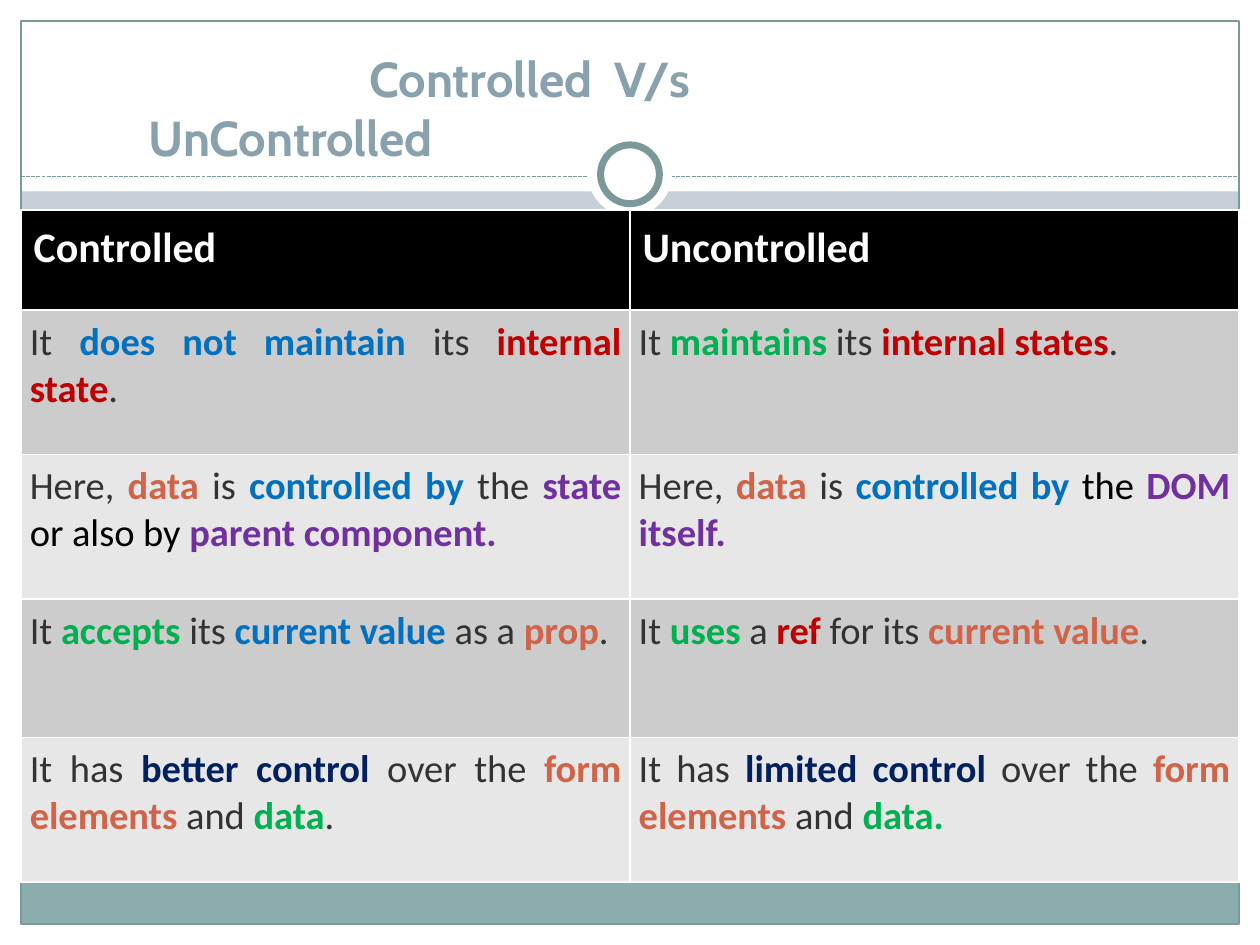
from dataclasses import dataclass

from lxml.etree import SubElement
from pptx import Presentation
from pptx.dml.color import RGBColor
from pptx.enum.dml import MSO_LINE_DASH_STYLE as DASH
from pptx.enum.shapes import MSO_CONNECTOR as CONNECTOR, MSO_SHAPE as SHAPE
from pptx.enum.text import PP_ALIGN as ALIGN
from pptx.oxml.ns import qn
from pptx.util import Inches, Pt


@dataclass(frozen=True)
class Theme:
    paper: str = "FFFFFF"
    backdrop: str = "C5D1D7"
    footer: str = "8CADAE"
    frame: str = "7C999A"
    title: str = "88A1AD"
    header: str = "000000"
    bands: tuple = ("CCCCCC", "E7E7E7")
    body: str = "333333"
    black: str = "000000"
    blue: str = "0070C0"
    navy: str = "002060"
    red: str = "C00000"
    green: str = "00B050"
    orange: str = "D16349"
    purple: str = "7030A0"
    title_font: str = "Cabin"
    table_font: str = "Calibri"
    title_size: int = 28
    header_size: int = 24
    body_size: int = 22


class Deck:
    COLS, ROWS = 60, 45
    PLAIN = ("body", "black")

    def __init__(self, theme):
        self.theme = theme
        self.prs = Presentation()
        self.prs.slide_width, self.prs.slide_height = Inches(10), Inches(7.5)
        self.s = self.prs.slides.add_slide(self.prs.slide_layouts[6])
        self.paint(self.s.background, theme.backdrop)

    def x(self, cols):
        return round(self.prs.slide_width * cols / self.COLS)

    def y(self, rows):
        return round(self.prs.slide_height * rows / self.ROWS)

    def box(self, col, row, cols, rows):
        return self.x(col), self.y(row), self.x(cols), self.y(rows)

    def paint(self, target, color):
        target.fill.solid()
        target.fill.fore_color.rgb = RGBColor.from_string(color)

    def stroke(self, line, color, width):
        line.color.rgb = RGBColor.from_string(color)
        line.width = Pt(width)

    def style(self, r, font, size, color, bold=True):
        r.font.name, r.font.size, r.font.bold = font, Pt(size), bold
        r.font.color.rgb = RGBColor.from_string(color)

    def shape(self, kind, area, fill=None, line=None, width=0.75):
        sp = self.s.shapes.add_shape(kind, *self.box(*area))
        sp.shadow.inherit = False
        if fill:
            self.paint(sp, fill)
        else:
            sp.fill.background()
        if line:
            self.stroke(sp.line, line, width)
        else:
            sp.line.fill.background()

    def dashed_rule(self, col, end, row):
        rule = self.s.shapes.add_connector(
            CONNECTOR.STRAIGHT, self.x(col), self.y(row), self.x(end), self.y(row))
        self.stroke(rule.line, self.theme.frame, 0.75)
        rule.line.dash_style = DASH.SQUARE_DOT
        sp_pr = rule.line._get_or_add_ln().getparent()
        SubElement(sp_pr, qn("a:effectLst"))

    def title(self, text, area, indent):
        tf = self.s.shapes.add_textbox(*self.box(*area)).text_frame
        tf.word_wrap = True
        tf.text = text
        p = tf.paragraphs[0]
        p._p.get_or_add_pPr().set("indent", str(self.x(indent)))
        t = self.theme
        self.style(p.runs[0], t.title_font, t.title_size, t.title)

    def cell(self, cell, fill, inset):
        self.paint(cell, fill)
        cell.margin_left = cell.margin_right = Inches(inset)
        cell.margin_top = cell.margin_bottom = Inches(inset)
        return cell.text_frame.paragraphs[0]

    def table(self, area, heights, headings, rows):
        t = self.theme
        table = self.s.shapes.add_table(
            len(heights), len(headings), *self.box(*area)).table
        for row, height in zip(table.rows, heights):
            row.height = self.y(height)
        for i, heading in enumerate(headings):
            p = self.cell(table.cell(0, i), t.header, 0.1)
            p.text = heading
            self.style(p.runs[0], t.table_font, t.header_size, t.paper)
        for i, row in enumerate(rows):
            for j, parts in enumerate(row):
                p = self.cell(table.cell(i + 1, j), t.bands[i % 2], 0.07)
                p.alignment = ALIGN.JUSTIFY
                for text, ink in parts:
                    r = p.add_run()
                    r.text = text
                    self.style(r, t.table_font, t.body_size,
                               getattr(t, ink), ink not in self.PLAIN)


COMPARISON = [
    ([("It ", "body"), ("does not maintain ", "blue"), ("its ", "body"),
      ("internal state", "red"), (".", "body")],
     [("It ", "body"), ("maintains", "green"), (" its ", "body"),
      ("internal states", "red"), (".", "body")]),
    ([("Here, ", "body"), ("data", "orange"), (" is ", "body"),
      ("controlled by ", "blue"), ("the ", "body"), ("state ", "purple"),
      ("or also by ", "black"), ("parent component.", "purple")],
     [("Here, ", "body"), ("data", "orange"), (" is ", "body"),
      ("controlled by ", "blue"), ("the ", "black"), ("DOM itself.", "purple")]),
    ([("It ", "body"), ("accepts", "green"), (" its ", "body"),
      ("current value ", "blue"), ("as a ", "body"), ("prop", "orange"),
      (".", "body")],
     [("It ", "body"), ("uses", "green"), (" a ", "body"), ("ref ", "red"),
      ("for its ", "body"), ("current value", "orange"), (".", "body")]),
    ([("It has ", "body"), ("better control ", "navy"), ("over the ", "body"),
      ("form elements ", "orange"), ("and ", "body"), ("data", "green"),
      (".", "body")],
     [("It has ", "body"), ("limited control ", "navy"), ("over the ", "body"),
      ("form elements ", "orange"), ("and ", "body"), ("data.", "green")]),
]


def main():
    theme = Theme()
    deck = Deck(theme)
    margins = [(0, 44, 60, 1), (0, 0, 60, 9.12), (0, 0, 1, 45), (59, 0, 1, 45)]
    for area in margins:
        deck.shape(SHAPE.RECTANGLE, area, theme.paper)
    deck.shape(SHAPE.RECTANGLE, (1, 42, 58, 2), theme.footer)
    deck.shape(SHAPE.RECTANGLE, (1, 1, 58, 43), line=theme.frame)
    deck.dashed_rule(1, 59, 8.4)
    deck.shape(SHAPE.OVAL, (28, 6.3, 4, 4), theme.paper)
    deck.shape(SHAPE.OVAL, (28.6, 6.9, 2.8, 2.8), theme.paper, theme.frame, 4)
    deck.table((1, 10, 58, 32), (4.76, 6.88, 6.88, 6.6, 6.88),
               ("Controlled", "Uncontrolled"), COMPARISON)
    deck.title("Controlled  V/s  UnControlled", (6.5, 2, 40, 3.4), 10.5)
    deck.prs.save("out.pptx")


if __name__ == "__main__":
    main()
